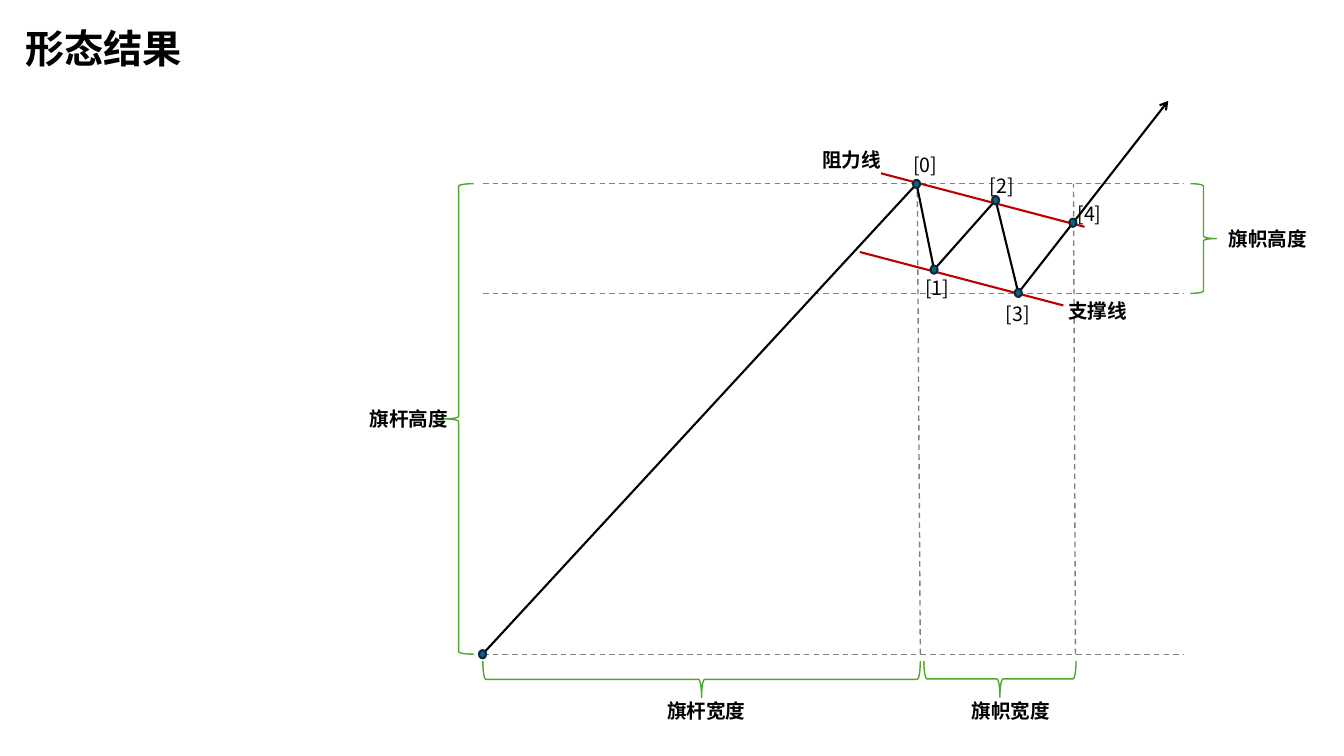
from lxml.etree import SubElement
from pptx import Presentation
from pptx.dml.color import RGBColor
from pptx.enum.dml import MSO_LINE_DASH_STYLE as Dash
from pptx.enum.shapes import MSO_CONNECTOR as Connector, MSO_SHAPE as Shape
from pptx.enum.text import MSO_ANCHOR as Anchor, MSO_AUTO_SIZE as AutoSize, PP_ALIGN as Align
from pptx.oxml.ns import qn
from pptx.util import Pt

BLACK = RGBColor(0x00, 0x00, 0x00)
GRAY = RGBColor(0x80, 0x80, 0x80)
RED = RGBColor(0xC0, 0x00, 0x00)
GREEN = RGBColor(0x4E, 0xA7, 0x2E)
TEAL = RGBColor(0x15, 0x60, 0x82)
NAVY = RGBColor(0x09, 0x2A, 0x39)


class FlagDiagram:
    """Holds the style and the current slide; all lengths are in points."""

    font_name = "Noto Sans CJK SC"
    marker_size = (5, 5.8)
    label_height = 24.5

    def __init__(self, slide):
        self.slide = slide
        self.shapes = slide.shapes

    def style_text(self, frame, text, size, bold):
        frame.text = text
        frame.word_wrap = True
        paragraph = frame.paragraphs[0]
        paragraph.alignment = Align.LEFT
        font = paragraph.font
        font.size, font.bold, font.name = Pt(size), bold, self.font_name
        font.color.rgb = BLACK
        # Chinese characters take the East Asian typeface
        properties = paragraph._p.pPr.find(qn("a:defRPr"))
        SubElement(properties, qn("a:ea"), typeface=self.font_name)
        return paragraph

    def style_line(self, line, color, width):
        line.color.rgb = color
        line.width = Pt(width)

    def title(self, text, left, top, width, height):
        title = self.shapes.title
        title.left, title.top = Pt(left), Pt(top)
        title.width, title.height = Pt(width), Pt(height)
        frame = title.text_frame
        frame.auto_size = AutoSize.NONE
        frame.vertical_anchor = Anchor.MIDDLE
        self.style_text(frame, text, 28, True).line_spacing = 0.9

    def label(self, text, left, top, width, bold):
        box = self.shapes.add_textbox(Pt(left), Pt(top), Pt(width), Pt(self.label_height))
        self.style_text(box.text_frame, text, 14, bold)
        box.text_frame.auto_size = AutoSize.SHAPE_TO_FIT_TEXT

    def line(self, start, end, color, width, dash=None):
        ends = [Pt(value) for value in (*start, *end)]
        connector = self.shapes.add_connector(Connector.STRAIGHT, *ends)
        self.style_line(connector.line, color, width)
        if dash:
            connector.line.dash_style = dash
        SubElement(connector._element.spPr, qn("a:effectLst"))

    def guide(self, start, end):
        self.line(start, end, GRAY, 1, Dash.DASH)

    def price_path(self, points):
        start, *rest = [(Pt(x), Pt(y)) for x, y in points]
        builder = self.shapes.build_freeform(*start)
        builder.add_line_segments(rest, close=False)
        path = builder.convert_to_shape()
        path.fill.background()
        path.shadow.inherit = False
        self.style_line(path.line, BLACK, 1.5)
        SubElement(path._element.spPr.find(qn("a:ln")), qn("a:tailEnd"), type="arrow")

    def brace(self, left, top, width, height, rotation=0):
        brace = self.shapes.add_shape(Shape.LEFT_BRACE, Pt(left), Pt(top), Pt(width), Pt(height))
        brace.rotation = rotation
        brace.fill.background()
        brace.shadow.inherit = False
        self.style_line(brace.line, GREEN, 1)

    def marker(self, x, y):
        width, height = self.marker_size
        marker = self.shapes.add_shape(
            Shape.FLOWCHART_CONNECTOR,
            Pt(x - width / 2), Pt(y - height / 2), Pt(width), Pt(height))
        marker.fill.solid()
        marker.fill.fore_color.rgb = TEAL
        marker.shadow.inherit = False
        self.style_line(marker.line, NAVY, 1.5)


def main():
    presentation = Presentation()
    presentation.slide_width, presentation.slide_height = Pt(960), Pt(540)
    diagram = FlagDiagram(presentation.slides.add_slide(presentation.slide_layouts[5]))
    diagram.title("形态结果", 10.8, 5.8, 938.9, 60.5)

    # Levels and turning points of the pattern
    top, flag_bottom, base = 131.2, 209.5, 467.3
    pole_start = (344.7, base)
    swings = [(654.7, 131.4), (667.2, 192.6), (711.2, 143), (727.4, 209.2)]
    breakout, target = (766.4, 159.1), (834.5, 72)

    # Dashed guides
    for level in (top, flag_bottom, base):
        diagram.guide((345, level), (846, level))
    diagram.guide((657.4, base), (655.2, top))
    diagram.guide((768.2, base), (766.8, top))

    # Support and resistance
    diagram.line((614.2, 180), (759.6, 218.2), RED, 1.5)
    diagram.line((629.3, 123.8), (774.7, 162), RED, 1.5)

    # Price path and its markers
    diagram.price_path([pole_start, *swings, target])
    for point in (pole_start, *swings, breakout):
        diagram.marker(*point)

    # Measuring braces
    diagram.brace(316.8, top, 21.6, base - top)
    diagram.brace(850.3, top, 18.7, flag_bottom - top, 180)
    diagram.brace(488.2, 329, 25.9, 312.5, 270)
    diagram.brace(701.3, 430.6, 25.9, 108.7, 270)

    # Names of lines and measures
    for name, left, label_top in (
        ("旗杆高度", 257, 287.3),
        ("旗杆宽度", 469.4, 495.4),
        ("旗帜宽度", 686.9, 495.4),
        ("旗帜高度", 870.5, 158.4),
        ("支撑线", 756, 210.2),
        ("阻力线", 580.3, 102.2),
    ):
        diagram.label(name, left, label_top, 77, True)

    # Indices of the turning points
    index_places = [(645.1, 105.8), (653.8, 193.7), (699.8, 121), (711.4, 212.4), (762.5, 140.4)]
    for index, (left, label_top) in enumerate(index_places):
        diagram.label(f"[{index}]", left, label_top, 37.4, False)

    presentation.save("out.pptx")


if __name__ == "__main__":
    main()
